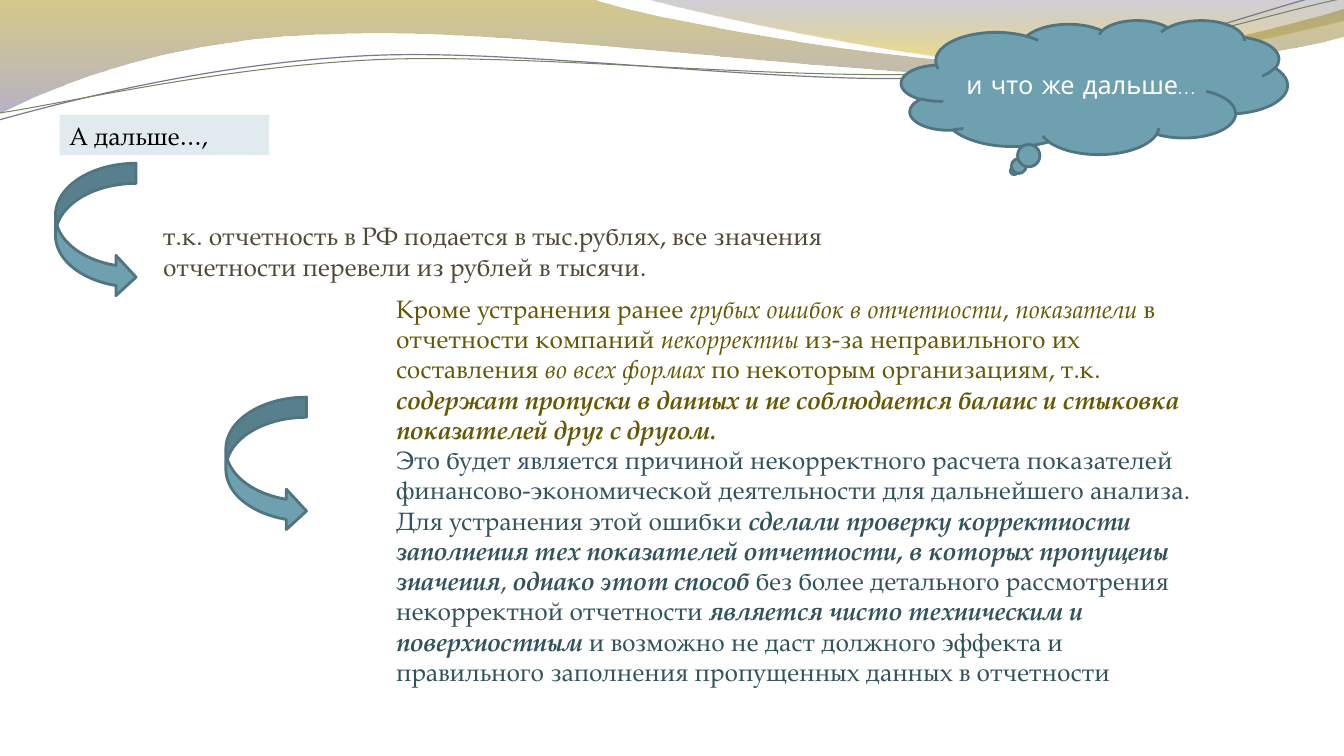
from dataclasses import dataclass
from typing import NamedTuple

from lxml import etree
from pptx import Presentation
from pptx.dml.color import RGBColor
from pptx.enum import shapes, text
from pptx.oxml import ns
from pptx.util import Inches, Pt

WHITE = RGBColor(0xFF, 0xFF, 0xFF)
BLACK = RGBColor(0x00, 0x00, 0x00)
TEAL = RGBColor(0x6E, 0xA0, 0xB0)
TEAL_EDGE = RGBColor(0x50, 0x74, 0x80)
TEAL_TEXT = RGBColor(0x32, 0x52, 0x5C)
PALE_BLUE = RGBColor(0xE1, 0xEB, 0xEF)
BROWN = RGBColor(0x50, 0x49, 0x37)
OLIVE = RGBColor(0x66, 0x57, 0x04)
OCHRE = RGBColor(0xA2, 0x88, 0x00)
GOLD = RGBColor(0xD4, 0xB1, 0x00)
LILAC = RGBColor(0x7A, 0x74, 0x9A)
VIOLET = RGBColor(0x63, 0x60, 0x7A)
LILAC_LINE = RGBColor(0x7B, 0x78, 0x8F)
GREEN_LINE = RGBColor(0x74, 0x85, 0x60)

SERIF = "TeX Gyre Pagella"

Point = tuple[float, float]
Box = tuple[float, float, float, float]


class Stop(NamedTuple):
    position: int
    color: RGBColor
    opacity: int


class Span(NamedTuple):
    words: str
    color: RGBColor
    format: dict = {}


@dataclass
class Wave:
    """An outline whose segments hold one point (straight) or three (cubic curve)."""
    start: Point
    segments: list[tuple[Point, ...]]
    stops: tuple[Stop, ...] = ()
    line_color: RGBColor | None = None
    line_width: float = 0


@dataclass
class TextBlock:
    box: Box
    spans: list[Span]
    fill: RGBColor | None = None


WAVES = [
    Wave((0, 0), [
        ((5.87, -0.01),),
        ((6.34, 0.17), (8.85, 0.63), (10.11, 0.63)),
        ((11.38, 0.63), (12.78, 0.26), (13.33, 0.09)),
        ((13.35, 0.36),),
        ((13.11, 0.44), (11.6, 0.76), (9.94, 0.75)),
        ((8.29, 0.75), (5.09, 0.28), (3.43, 0.34)),
        ((1.72, 0.36), (0.61, 0.83), (-0.01, 1.13)),
        ((0, 0),),
    ], stops=(Stop(0, OCHRE, 45), Stop(100, LILAC, 55))),
    Wave((6.39, -0.01), [
        ((6.79, 0.11), (9.09, 0.62), (10.25, 0.65)),
        ((11.41, 0.69), (12.82, 0.32), (13.33, 0.21)),
        ((13.33, 0),),
        ((6.39, -0.01),),
    ], stops=(Stop(0, VIOLET, 30), Stop(80, GOLD, 45), Stop(100, GOLD, 45))),
    Wave((-0.01, 1.19), [
        ((0.64, 1.01), (2.11, 0.62), (3.69, 0.55)),
        ((5.27, 0.48), (7.9, 0.87), (9.5, 0.76)),
        ((11.1, 0.66), (12.52, 0.08), (13.31, -0.1)),
    ], line_color=LILAC_LINE, line_width=0.85),
    Wave((0, 1.12), [
        ((0.63, 1.03), (2.18, 0.66), (3.78, 0.59)),
        ((5.37, 0.53), (7.96, 0.82), (9.55, 0.72)),
        ((11.15, 0.62), (12.55, 0.14), (13.34, -0.02)),
    ], line_color=GREEN_LINE, line_width=0.75),
]

ITALIC = {"italic": True}
STRONG = {"bold": True, "italic": True}
TEXT_BLOCKS = [
    TextBlock((1.52, 2.14, 7.12, 0.71), [
        Span("т.к. отчетность в РФ подается в тыс.рублях, все значения отчетности "
             "перевели из рублей в тысячи.", BROWN),
    ]),
    TextBlock((3.83, 2.86, 8.21, 4.34), [
        Span("Кроме устранения ранее ", OLIVE),
        Span("грубых ошибок в отчетности", OLIVE, ITALIC),
        Span(", ", OLIVE),
        Span("показатели", OLIVE, ITALIC),
        Span(" в отчетности компаний ", OLIVE),
        Span("некорректны", OLIVE, ITALIC),
        Span(" из-за неправильного их составления ", OLIVE),
        Span("во всех формах ", OLIVE, ITALIC),
        Span("по некоторым организациям, т.к. ", OLIVE),
        Span("содержат пропуски в данных и не соблюдается баланс и стыковка "
             "показателей друг с другом.\n", OLIVE, STRONG),
        Span("Это будет является причиной некорректного расчета показателей "
             "финансово-экономической деятельности для дальнейшего анализа. "
             "Для устранения этой ошибки ", TEAL_TEXT),
        Span("сделали проверку корректности заполнения тех показателей отчетности, "
             "в которых пропущены значения", TEAL_TEXT, STRONG),
        Span(", ", TEAL_TEXT),
        Span("однако этот способ ", TEAL_TEXT, STRONG),
        Span("без более детального рассмотрения некорректной отчетности ", TEAL_TEXT),
        Span("является чисто техническим и поверхностным", TEAL_TEXT, STRONG),
        Span(" и возможно не даст должного эффекта и правильного заполнения "
             "пропущенных данных в отчетности", TEAL_TEXT),
    ]),
    TextBlock((0.59, 1.14, 2.08, 0.4), [Span("А дальше…,", BLACK)], PALE_BLUE),
]

ARROW_CORNERS = [(0.55, 1.62), (2.24, 3.94)]


def bend_segments(shape, segments: list[tuple[Point, ...]]) -> None:
    """Join the straight steps of each three-point segment into one cubic curve."""
    steps = iter(list(shape._element.iter(ns.qn("a:lnTo"))))
    for segment in segments:
        first, *others = [next(steps) for _ in segment]
        if others:
            first.tag = ns.qn("a:cubicBezTo")
            for step in others:
                first.append(step[0])
                step.getparent().remove(step)


def fill_gradient(shape, stops: tuple[Stop, ...]) -> None:
    """Fill from top to bottom with partly transparent stops."""
    shape.fill.gradient()
    gradient = shape.fill._xPr.find(ns.qn("a:gradFill"))
    for child in list(gradient):
        gradient.remove(child)
    stop_list = etree.SubElement(gradient, ns.qn("a:gsLst"))
    for stop in stops:
        entry = etree.SubElement(stop_list, ns.qn("a:gs"), pos=str(stop.position * 1000))
        color = etree.SubElement(entry, ns.qn("a:srgbClr"), val=str(stop.color))
        etree.SubElement(color, ns.qn("a:alpha"), val=str(stop.opacity * 1000))
    etree.SubElement(gradient, ns.qn("a:lin"), ang="5400000", scaled="0")


def draw_wave(slide, wave: Wave) -> None:
    builder = slide.shapes.build_freeform(*map(Inches, wave.start))
    points = [tuple(map(Inches, point)) for segment in wave.segments for point in segment]
    builder.add_line_segments(points, close=bool(wave.stops))
    shape = builder.convert_to_shape()
    bend_segments(shape, wave.segments)
    shape.shadow.inherit = False
    if wave.stops:
        fill_gradient(shape, wave.stops)
        shape.line.fill.background()
    else:
        shape.fill.background()
        shape.line.color.rgb = wave.line_color
        shape.line.width = Pt(wave.line_width)


def write_spans(paragraph, spans: list[Span], font_name: str) -> None:
    for span in spans:
        run = paragraph.add_run()
        run.text = span.words.rstrip("\n")
        run.font.color.rgb = span.color
        for name, value in {"name": font_name, "size": Pt(18), **span.format}.items():
            setattr(run.font, name, value)
        if span.words.endswith("\n"):
            paragraph.add_line_break()


def draw_text_block(slide, block: TextBlock) -> None:
    shape = slide.shapes.add_textbox(*map(Inches, block.box))
    if block.fill is not None:
        shape.fill.solid()
        shape.fill.fore_color.rgb = block.fill
    shape.text_frame.word_wrap = True
    shape.text_frame.auto_size = text.MSO_AUTO_SIZE.SHAPE_TO_FIT_TEXT
    write_spans(shape.text_frame.paragraphs[0], block.spans, SERIF)


def draw_teal_shape(slide, kind: shapes.MSO_SHAPE, box: Box, adjustments: tuple[float, ...]):
    shape = slide.shapes.add_shape(kind, *map(Inches, box))
    shape.shadow.inherit = False
    shape.fill.solid()
    shape.fill.fore_color.rgb = TEAL
    shape.line.color.rgb = TEAL_EDGE
    shape.line.width = Pt(2)
    for index, value in enumerate(adjustments):
        shape.adjustments[index] = value
    return shape


def main() -> None:
    presentation = Presentation()
    presentation.slide_width, presentation.slide_height = Inches(13.33), Inches(7.5)
    slide = presentation.slides.add_slide(presentation.slide_layouts[6])
    for wave in WAVES:
        draw_wave(slide, wave)
    cloud = draw_teal_shape(slide, shapes.MSO_SHAPE.CLOUD_CALLOUT,
                            (8.94, 0.2, 3.83, 1.33), (-0.208, 0.625))
    cloud.text_frame.vertical_anchor = text.MSO_ANCHOR.MIDDLE
    paragraph = cloud.text_frame.paragraphs[0]
    paragraph.alignment = text.PP_ALIGN.CENTER
    write_spans(paragraph, [Span("и что же дальше…", WHITE)], "Comic Neue")
    for block in TEXT_BLOCKS:
        draw_text_block(slide, block)
    for corner in ARROW_CORNERS:
        draw_teal_shape(slide, shapes.MSO_SHAPE.CURVED_RIGHT_ARROW,
                        (*corner, 0.8, 1.33), (0.25, 0.5, 0.25))
    presentation.save("out.pptx")


if __name__ == "__main__":
    main()
